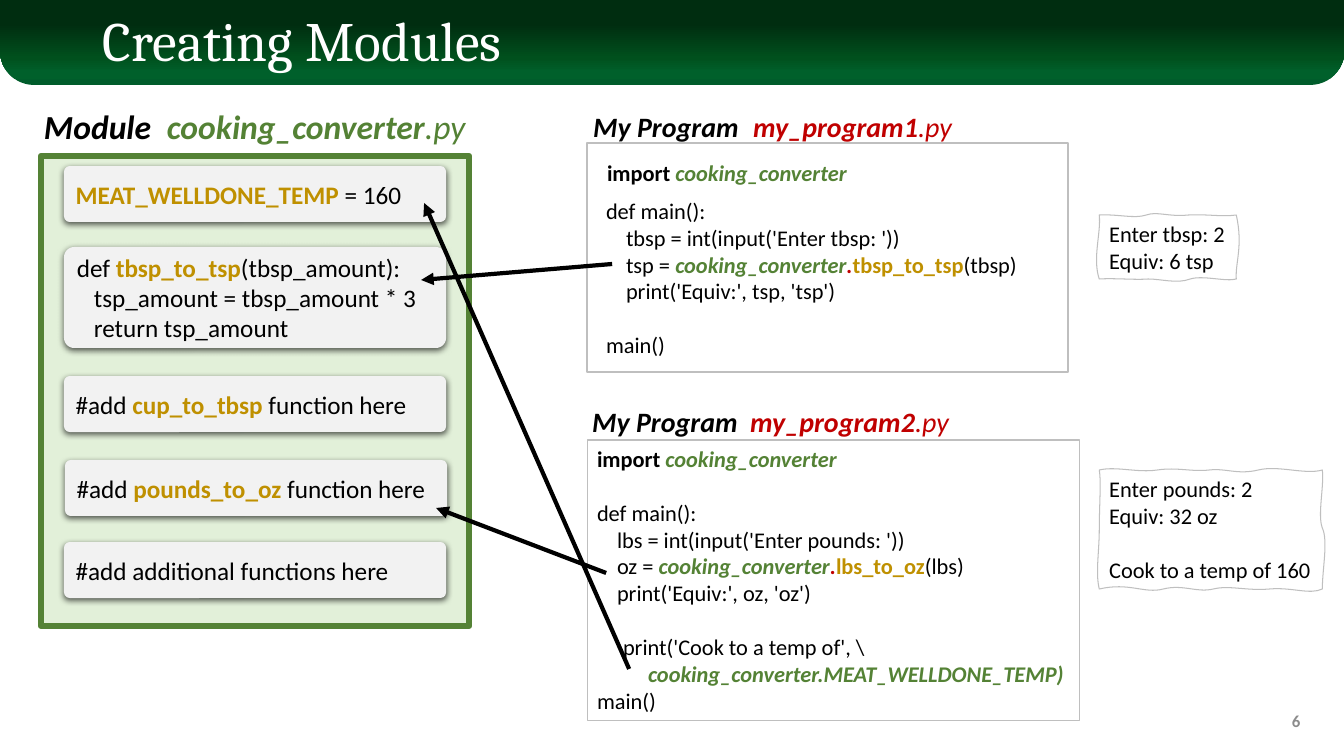
from lxml import etree
from pptx import Presentation
from pptx import util as u
from pptx.dml.color import RGBColor
from pptx.enum import shapes, text
from pptx.oxml import parse_xml
from pptx.oxml.ns import nsdecls, qn

SCALE = 914400 / 100.8  # EMU per pixel
THEME = {
    "font": "Calibri", "title_font": "Cambria",
    "title": 39.6, "module": 24, "program": 20, "card": 18, "code": 16, "number": 12,
    "box": "E2F0D9", "box_line": "548235", "card_fill": "F2F2F2",
    "frame": "BFBFBF", "arrow": "000000",
    "banner": [(0, "005C2B"), (15, "00602B"), (32, "00501D"), (72, "002D10")],
    "styles": {  # colour, bold, italic
        "plain": ("000000", False, False),
        "strong": ("000000", True, False),
        "label": ("000000", True, True),
        "module": ("548235", True, True),
        "module_ext": ("548235", False, True),
        "program": ("C00000", True, True),
        "program_ext": ("C00000", False, True),
        "name": ("BF9000", True, False),
        "title": ("FFFFFF", False, False),
        "number": ("8C8C8C", True, False),
    },
}


def px(*values):
    """Turn pixels into a list of EMU lengths."""
    return [u.Emu(round(value * SCALE)) for value in values]


def dress(shape, paragraphs=(), size="code", fill=None, line=None, width=0.75,
          font=THEME["font"], frame=None, layout=None):
    """Style a shape and write ((first, rest) indents, gap, runs) paragraphs into it."""
    shape.shadow.inherit = False
    for part, colour in ((shape.fill, fill), (shape.line.fill, line)):
        if colour:
            part.solid()
            part.fore_color.rgb = RGBColor.from_string(colour)
        else:
            part.background()
    if line:
        shape.line.width = u.Pt(width)
    text_frame = shape.text_frame
    for key, value in {"word_wrap": True, **(frame or {})}.items():
        setattr(text_frame, key, value)
    for index, ((first, rest), gap, runs) in enumerate(paragraphs):
        paragraph = text_frame.add_paragraph() if index else text_frame.paragraphs[0]
        formats = {"alignment": text.PP_ALIGN.LEFT, "space_before": px(gap)[0], **(layout or {})}
        for key, value in formats.items():
            setattr(paragraph, key, value)
        for key, value in (("marL", rest), ("indent", first - rest)):
            paragraph._p.get_or_add_pPr().set(key, str(px(value)[0]))
        for words, style in runs:
            if words == "\n":
                paragraph.add_line_break()
                etree.SubElement(paragraph._p[-1], qn("a:rPr"), sz=str(THEME[size] * 100))
                continue
            run = paragraph.add_run()
            run.text = words
            colour, bold, italic = THEME["styles"][style]
            for key, value in {"name": font, "size": u.Pt(THEME[size]),
                               "bold": bold, "italic": italic}.items():
                setattr(run.font, key, value)
            run.font.color.rgb = RGBColor.from_string(colour)


presentation = Presentation()
presentation.slide_width, presentation.slide_height = u.Inches(13.33), u.Inches(7.5)
slide = presentation.slides.add_slide(presentation.slide_layouts[6])
canvas = slide.shapes
MIDDLE = {"vertical_anchor": text.MSO_ANCHOR.MIDDLE}
TOP = {"vertical_anchor": text.MSO_ANCHOR.TOP}
FLUSH, CARD_TAB, TAB, HANGING = (0, 0), (17, 17), (20, 20), (26, 51)
LINE = 27

# Title banner
banner = canvas.add_shape(shapes.MSO_SHAPE.ROUND_2_SAME_RECTANGLE, *px(0, 0, 1344, 85))
banner.adjustments[0], banner.adjustments[1] = 0.4, 0
dress(banner, fill=THEME["banner"][0][1])
properties = banner._element.spPr
properties.find(qn("a:xfrm")).set("flipV", "1")
stops = "".join(f'<a:gs pos="{place * 1000}"><a:srgbClr val="{colour}"/></a:gs>'
                for place, colour in THEME["banner"])
properties.replace(properties.find(qn("a:solidFill")), parse_xml(
    f'<a:gradFill {nsdecls("a")} rotWithShape="1"><a:gsLst>{stops}</a:gsLst>'
    '<a:lin ang="5400000" scaled="0"/></a:gradFill>'))
dress(canvas.add_textbox(*px(93, 13, 1159, 61)), [(FLUSH, 0, [("Creating Modules", "title")])],
      "title", font=THEME["title_font"], frame=MIDDLE, layout={"line_spacing": 0.9})
dress(canvas.add_textbox(*px(1008, 701, 302, 40)), [(FLUSH, 0, [("6", "number")])],
      "number", frame=MIDDLE, layout={"alignment": text.PP_ALIGN.RIGHT})

# Module box with its cards
module_box = canvas.add_shape(shapes.MSO_SHAPE.RECTANGLE, *px(41, 156, 428, 470))
dress(module_box, fill=THEME["box"], line=THEME["box_line"], width=4.5)
cards = [
    (64, 166, 56, [(FLUSH, 0, [("MEAT_WELLDONE_TEMP ", "name"), ("= 160", "plain")])]),
    (64, 247, 101, [
        (FLUSH, 0, [("def ", "plain"), ("tbsp_to_tsp", "name"), ("(tbsp_amount):", "plain")]),
        (CARD_TAB, 0, [("tsp_amount = tbsp_amount * 3", "plain")]),
        (CARD_TAB, 0, [("return tsp_amount", "plain")])]),
    (64, 376, 56, [(FLUSH, 0, [("#add ", "plain"), ("cup_to_tbsp ", "name"),
                               ("function here", "plain")])]),
    (65, 460, 56, [(FLUSH, 0, [("#add ", "plain"), ("pounds_to_oz ", "name"),
                               ("function here", "plain")])]),
    (64, 542, 56, [(FLUSH, 0, [("#add additional functions here", "plain")])]),
]
for left, top, height, paragraphs in cards:
    card = canvas.add_shape(shapes.MSO_SHAPE.ROUNDED_RECTANGLE, *px(left, top, 382, height))
    card.adjustments[0] = 0.1
    dress(card, paragraphs, "card", fill=THEME["card_fill"], frame=MIDDLE)
    card._element.spPr.find(qn("a:effectLst")).append(parse_xml(
        f'<a:outerShdw {nsdecls("a")} blurRad="57150" dist="19050" dir="5400000" algn="ctr" '
        'rotWithShape="0"><a:srgbClr val="000000"><a:alpha val="63000"/></a:srgbClr></a:outerShdw>'))

# Headings
headings = [
    (34, 101, 128, 58, "module", [("Module", "label")]),
    (157, 101, 349, 50, "module", [("cooking_converter", "module"), (".py", "module_ext")]),
    (583, 105, 167, 44, "program", [("My Program", "label")]),
    (743, 105, 257, 44, "program", [("my_program1", "program"), (".py", "program_ext")]),
    (582, 400, 167, 44, "program", [("My Program", "label")]),
    (740, 400, 257, 44, "program", [("my_program2", "program"), (".py", "program_ext")]),
]
for left, top, width, height, size, runs in headings:
    dress(canvas.add_textbox(*px(left, top, width, height)), [(FLUSH, 0, runs)], size)

# Programs
import_runs = [("import ", "strong"), ("cooking_converter", "module")]
first_program = [
    (FLUSH, 0, [("def main():", "plain")]),
    (TAB, 0, [("tbsp = int(input('Enter tbsp: '))", "plain")]),
    (TAB, 0, [("tsp = ", "plain"), ("cooking_converter", "module"), (".", "program"),
              ("tbsp_to_tsp", "name"), ("(tbsp)", "plain")]),
    (TAB, 0, [("print('Equiv:', tsp, 'tsp')", "plain")]),
    (FLUSH, LINE, [("main()", "plain")]),
]
second_program = [
    (FLUSH, 0, import_runs),
    (FLUSH, LINE, [("def main():", "plain")]),
    (TAB, 0, [("lbs = int(input('Enter pounds: '))", "plain")]),
    (TAB, 0, [("oz = ", "plain"), ("cooking_converter", "module"), (".", "program"),
              ("lbs_to_oz", "name"), ("(lbs)", "plain")]),
    (TAB, 0, [("print('Equiv:', oz, 'oz')", "plain")]),
    (HANGING, LINE, [("print('Cook to a temp of', \\", "plain"), ("\n", "plain"),
                     ("cooking_converter.MEAT_WELLDONE_TEMP)", "module")]),
    (FLUSH, 0, [("main()", "plain")]),
]
frames = [((587, 143, 481, 229), [], 1), ((587, 440, 492, 281), second_program, 0.75)]
for place, paragraphs, width in frames:
    program = canvas.add_shape(shapes.MSO_SHAPE.RECTANGLE, *px(*place))
    dress(program, paragraphs, line=THEME["frame"], width=width, frame=TOP)
dress(canvas.add_textbox(*px(597, 154, 264, 37)), [(FLUSH, 0, import_runs)])
dress(canvas.add_textbox(*px(596, 192, 492, 173)), first_program)

# Program output on wavy paper: start point, then cubic curves
outputs = [
    ((1099, 215), [
        ((1119, 214), (1134, 219), (1146, 215)), ((1157, 211), (1168, 217), (1188, 215)),
        ((1208, 214), (1221, 217), (1236, 215)), ((1243, 246), (1235, 262), (1236, 279)),
        ((1226, 282), (1203, 275), (1190, 279)), ((1177, 284), (1161, 279), (1148, 279)),
        ((1135, 280), (1114, 278), (1099, 279)), ((1092, 258), (1101, 233), (1099, 215))],
     [(0, "Enter tbsp: 2"), (0, "Equiv: 6 tsp")]),
    ((1099, 470), [
        ((1116, 466), (1137, 473), (1157, 470)), ((1177, 467), (1191, 472), (1209, 470)),
        ((1226, 468), (1237, 475), (1258, 470)), ((1278, 465), (1305, 475), (1322, 470)),
        ((1324, 486), (1317, 515), (1322, 528)), ((1328, 541), (1322, 569), (1322, 589)),
        ((1309, 595), (1292, 587), (1269, 589)), ((1246, 591), (1229, 585), (1213, 589)),
        ((1196, 593), (1183, 584), (1163, 589)), ((1144, 594), (1129, 582), (1099, 589)),
        ((1095, 573), (1099, 552), (1099, 529)), ((1099, 506), (1101, 482), (1099, 470))],
     [(0, "Enter pounds: 2"), (0, "Equiv: 32 oz"), (LINE, "Cook to a temp of 160")]),
]
for start, curves, lines in outputs:
    builder = canvas.build_freeform(*px(*start))
    builder.add_line_segments([px(*curve[-1]) for curve in curves], close=True)
    paper = builder.convert_to_shape()
    segments = list(paper._element.iter(qn("a:lnTo")))
    for segment, curve in zip(segments, curves):
        bend = etree.Element(qn("a:cubicBezTo"))
        for x, y in curve:
            across, down = px(x - start[0], y - start[1])
            etree.SubElement(bend, qn("a:pt"), x=str(across), y=str(down))
        segment.getparent().replace(segment, bend)
    dress(paper, [(FLUSH, gap, [(words, "plain")]) for gap, words in lines],
          line=THEME["frame"], frame={**TOP, "word_wrap": False})

# Arrows from each use to its definition
for ends in [(612, 264, 421, 280), (606, 573, 436, 508), (629, 669, 424, 203)]:
    arrow = canvas.add_connector(shapes.MSO_CONNECTOR.STRAIGHT, *px(*ends))
    arrow.line.color.rgb = RGBColor.from_string(THEME["arrow"])
    arrow.line.width = u.Pt(3)
    etree.SubElement(arrow.line._get_or_add_ln(), qn("a:tailEnd"), type="triangle")
    etree.SubElement(arrow._element.spPr, qn("a:effectLst"))

presentation.save("out.pptx")
